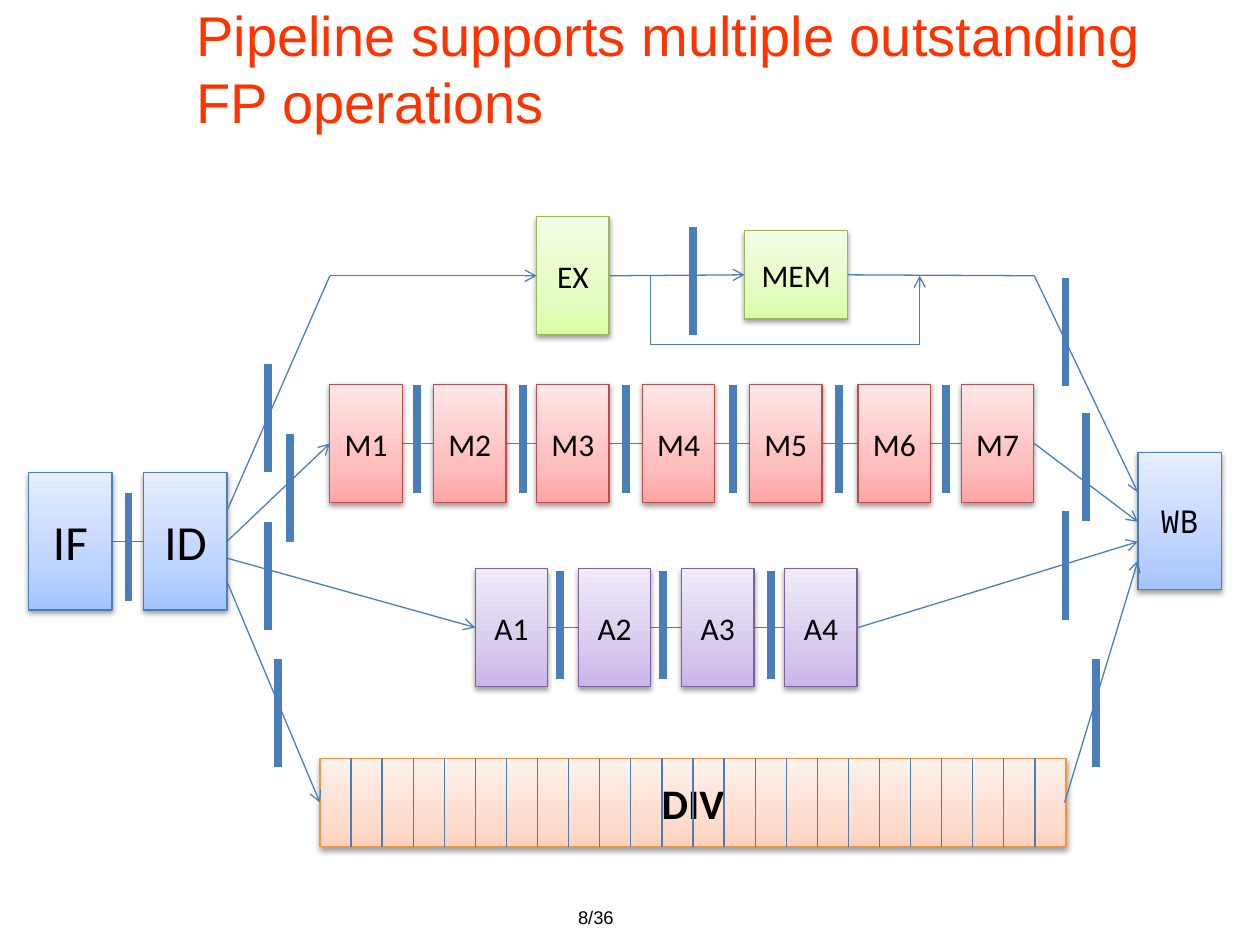
"""Build a slide of a pipeline with several floating-point units in flight."""
import copy

import pptx
import pptx.dml.color
import pptx.enum.shapes
import pptx.enum.text
import pptx.oxml
import pptx.oxml.ns
import pptx.util
from lxml import etree

Cm = pptx.util.Cm
Pt = pptx.util.Pt
RGBColor = pptx.dml.color.RGBColor
Align = pptx.enum.text.PP_ALIGN
Anchor = pptx.enum.text.MSO_ANCHOR
qn = pptx.oxml.ns.qn

BLACK = RGBColor(0x00, 0x00, 0x00)
WHITE = RGBColor(0xFF, 0xFF, 0xFF)
TITLE_RED = RGBColor(0xFF, 0x33, 0x00)
WIRE_BLUE = RGBColor(0x4A, 0x7E, 0xBB)
BLUE = (RGBColor(0x4B, 0x7E, 0xBC), RGBColor(0xA4, 0xC4, 0xFF),
        RGBColor(0xBF, 0xD4, 0xFF), RGBColor(0xE6, 0xEE, 0xFF))
RED = (RGBColor(0xBF, 0x4C, 0x48), RGBColor(0xFF, 0xA6, 0xA5),
       RGBColor(0xFF, 0xC0, 0xBF), RGBColor(0xFF, 0xE7, 0xE7))
PURPLE = (RGBColor(0x7D, 0x60, 0xA0), RGBColor(0xC9, 0xB5, 0xE8),
          RGBColor(0xD8, 0xCB, 0xEE), RGBColor(0xF0, 0xEA, 0xF9))
GREEN = (RGBColor(0x98, 0xB9, 0x55), RGBColor(0xDA, 0xFD, 0xA7),
         RGBColor(0xE4, 0xFC, 0xC2), RGBColor(0xF5, 0xFF, 0xE7))
ORANGE = (RGBColor(0xF6, 0x92, 0x40), RGBColor(0xFF, 0xD2, 0xBD),
          RGBColor(0xFF, 0xDE, 0xD0), RGBColor(0xFF, 0xF2, 0xED))

SHADOW = (
    '<a:outerShdw xmlns:a="http://schemas.openxmlformats.org/drawingml/2006/main" '
    'blurRad="40000" dist="20000" dir="5400000" rotWithShape="0">'
    '<a:srgbClr val="000000"><a:alpha val="38000"/></a:srgbClr></a:outerShdw>'
)


class PipelinePage:
    """Hold the style and the current slide, and draw each kind of element."""

    stage_font = {"name": "Calibri", "size": Pt(18), "bold": False}
    stop_positions = (0, 0.35, 1)
    latch_height = 2.18

    def __init__(self, page):
        self.page = page

    def put_text(self, shape, text, color, align, anchor, font):
        frame = shape.text_frame
        for name, value in {"word_wrap": True, "vertical_anchor": anchor}.items():
            setattr(frame, name, value)
        para = frame.paragraphs[0]
        para.alignment = align
        span = para.add_run()
        span.text = text
        span.font.color.rgb = color
        for name, value in font.items():
            setattr(span.font, name, value)

    def label(self, text, place, color, align, anchor, **font):
        box = self.page.shapes.add_textbox(*map(Cm, place))
        self.put_text(box, text, color, align, anchor, font)
        return box

    def stage(self, text, place, palette, **font):
        box = self.page.shapes.add_shape(
            pptx.enum.shapes.MSO_SHAPE.RECTANGLE, *map(Cm, place))
        outline, *stop_colors = palette
        box.line.color.rgb = outline
        box.line.width = Pt(0.75)
        box.fill.gradient()
        box.fill.gradient_angle = 90
        properties = box.element.spPr
        stop_list = properties.find(".//" + qn("a:gsLst"))
        stop_list.insert(1, copy.deepcopy(stop_list[0]))
        for stop, position, color in zip(
                box.fill.gradient_stops, self.stop_positions, stop_colors):
            stop.position = position
            stop.color.rgb = color
        box.shadow.inherit = False
        properties.find(qn("a:effectLst")).append(pptx.oxml.parse_xml(SHADOW))
        self.put_text(box, text, BLACK, Align.CENTER, Anchor.MIDDLE,
                      {**self.stage_font, **font})

    def wire(self, start, end, arrow=False, width=0.75):
        line = self.page.shapes.add_connector(
            pptx.enum.shapes.MSO_CONNECTOR.STRAIGHT, *map(Cm, (*start, *end)))
        line.line.color.rgb = WIRE_BLUE
        line.line.width = Pt(width)
        properties = line.element.spPr
        if arrow:
            etree.SubElement(properties.find(qn("a:ln")), qn("a:tailEnd"),
                             type="arrow")
        etree.SubElement(properties, qn("a:effectLst"))

    def latch(self, left, top):
        self.wire((left, top), (left, top + self.latch_height), width=4.5)


def main():
    deck = pptx.Presentation()
    deck.slide_width, deck.slide_height = Cm(25.4), Cm(19.05)
    pipeline = PipelinePage(deck.slides.add_slide(deck.slide_layouts[6]))

    pipeline.label("8/36", (7.34, 18.14, 5.28, 1.27), BLACK, Align.RIGHT,
                   Anchor.TOP, name="Arial", size=Pt(10.5))
    title = pipeline.label(
        "Pipeline supports multiple outstanding FP operations",
        (3.71, 0, 21.01, 2.72), TITLE_RED, Align.LEFT, Anchor.MIDDLE,
        name="Arial", size=Pt(32))
    title.fill.solid()
    title.fill.fore_color.rgb = WHITE

    for left, right, level in ((0.58, 4.57, 10.92), (9.58, 17.3, 12.65),
                               (8.1, 19.38, 8.94)):
        pipeline.wire((left, level), (right, level))

    for text, left in (("IF", 0.58), ("ID", 2.9)):
        pipeline.stage(text, (left, 9.53, 1.68, 2.77), BLUE, size=Pt(28))
    multiply_lefts = (6.65, 8.74, 10.82, 12.95, 15.11, 17.3, 19.38)
    for number, left in enumerate(multiply_lefts, 1):
        pipeline.stage(f"M{number}", (left, 7.75, 1.46, 2.38), RED)
    for index in range(4):
        pipeline.stage(f"A{index + 1}", (9.58 + 2.08 * index, 11.46, 1.46, 2.38),
                       PURPLE)
    pipeline.stage("WB", (22.94, 9.12, 1.68, 2.77), BLUE, name="Noto Sans Mono")
    pipeline.stage("EX", (10.82, 4.37, 1.46, 2.38), GREEN)
    pipeline.stage("MEM", (15.01, 4.65, 2.08, 1.78), GREEN)

    div_left, div_top, div_width, div_height = 6.45, 15.29, 15.04, 1.78
    pipeline.stage("DIV", (div_left, div_top, div_width, div_height), ORANGE,
                   size=Pt(24), bold=True)
    div_cycles = 24
    for cycle in range(1, div_cycles):
        left = div_left + div_width * cycle / div_cycles
        pipeline.wire((left, div_top), (left, div_top + div_height))

    for start, end in (
        ((4.57, 10.31), (6.65, 5.56)),
        ((17.09, 5.54), (20.85, 5.56)),
        ((13.12, 5.56), (13.12, 6.95)),
        ((13.12, 6.95), (18.54, 6.95)),
    ):
        pipeline.wire(start, end)
    for start, end in (
        ((6.65, 5.56), (10.82, 5.56)),
        ((12.29, 5.56), (15.01, 5.54)),
        ((20.85, 5.56), (22.94, 9.93)),
        ((4.57, 10.92), (6.65, 8.94)),
        ((20.85, 8.94), (22.94, 10.52)),
        ((4.57, 11.25), (9.58, 12.65)),
        ((18.54, 6.95), (18.54, 5.56)),
        ((17.3, 12.65), (22.94, 10.92)),
        ((4.57, 11.71), (6.45, 16.18)),
        ((21.46, 16.18), (22.94, 11.3)),
    ):
        pipeline.wire(start, end, arrow=True)

    for top, lefts in (
        (4.57, (13.97,)),
        (5.61, (21.48,)),
        (7.34, (5.4,)),
        (7.76, (8.41, 10.54, 12.62, 14.78, 16.92, 19.08)),
        (8.33, (21.89,)),
        (8.74, (5.84,)),
        (9.93, (2.59,)),
        (10.31, (21.48,)),
        (10.52, (5.4,)),
        (11.51, (11.29, 13.36, 15.54)),
        (13.28, (5.61, 22.1)),
    ):
        for left in lefts:
            pipeline.latch(left, top)

    deck.save("out.pptx")


if __name__ == "__main__":
    main()
